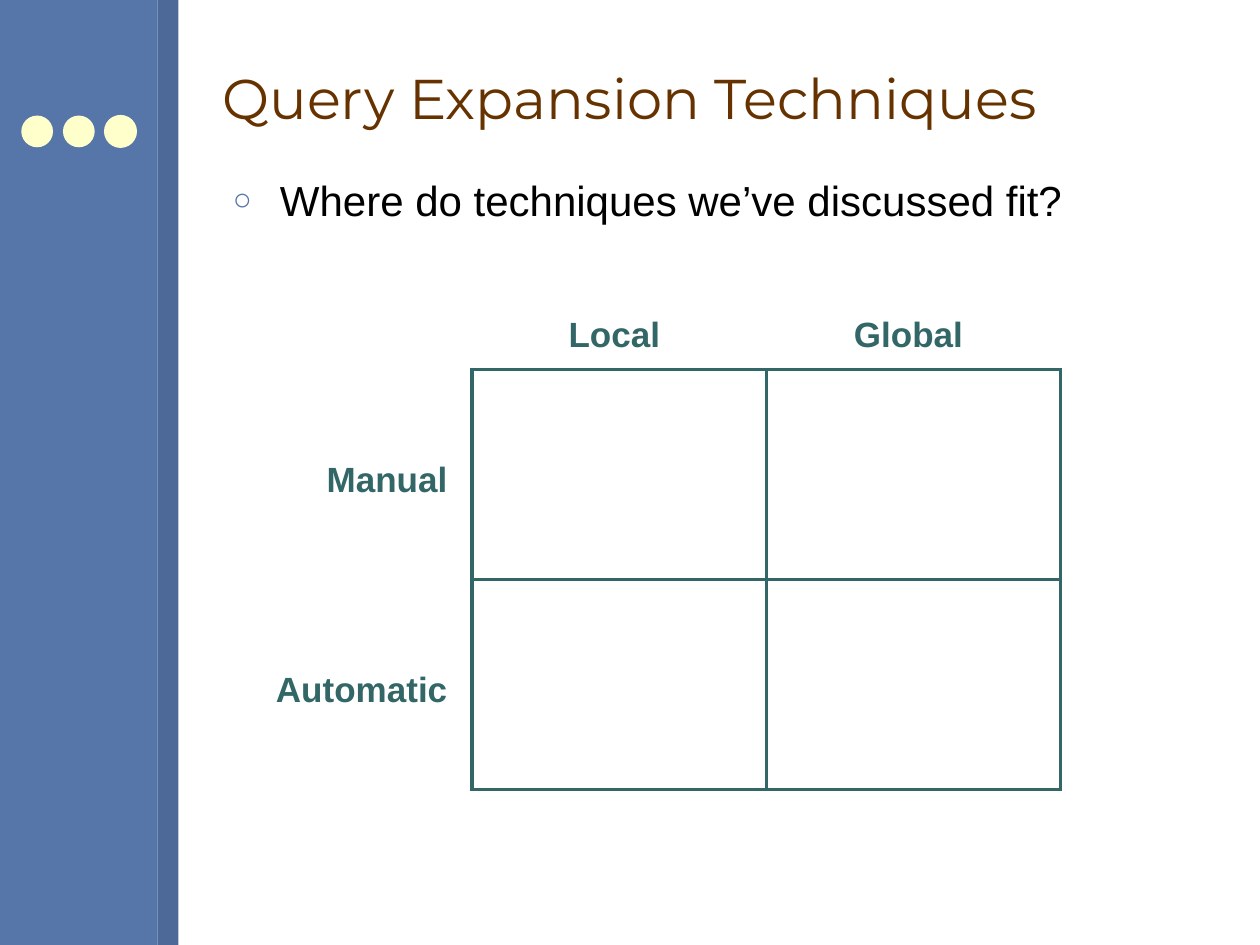
from dataclasses import dataclass

from lxml import etree
from pptx import Presentation
from pptx.dml.color import RGBColor
from pptx.enum.shapes import MSO_SHAPE
from pptx.enum.text import MSO_ANCHOR, MSO_AUTO_SIZE, PP_ALIGN
from pptx.oxml.ns import qn
from pptx.util import Cm, Pt

RECTANGLE = MSO_SHAPE.RECTANGLE
OVAL = MSO_SHAPE.OVAL
MIDDLE = MSO_ANCHOR.MIDDLE
TOP = MSO_ANCHOR.TOP
NO_AUTOFIT = MSO_AUTO_SIZE.NONE
GROW = MSO_AUTO_SIZE.SHAPE_TO_FIT_TEXT
LEFT = PP_ALIGN.LEFT
CENTER = PP_ALIGN.CENTER
RIGHT = PP_ALIGN.RIGHT


@dataclass(frozen=True)
class Theme:
    """Colours, fonts and type sizes of the slide."""
    sidebar: str = "5675A9"
    band: str = "4D6997"
    dot: str = "FFFFCC"
    title: str = "663300"
    body: str = "000000"
    grid: str = "336666"
    title_font: str = "Montserrat"
    body_font: str = "Arial"
    title_size: int = 32
    body_size: int = 24
    label_size: int = 20
    grid_line: float = 2
    dot_line: float = 0.75


@dataclass(frozen=True)
class Box:
    """A region in centimetres."""
    left: float
    top: float
    width: float
    height: float


THEME = Theme()


def place(shape, box):
    """Move and size a shape to a box."""
    shape.left, shape.top = Cm(box.left), Cm(box.top)
    shape.width, shape.height = Cm(box.width), Cm(box.height)


def add_run(paragraph, text, font_name, size, color, bold=False):
    """Append one formatted run."""
    run = paragraph.add_run()
    run.text = text
    run.font.name = font_name
    run.font.size = Pt(size)
    run.font.bold = bold
    run.font.color.rgb = RGBColor.from_string(color)


def add_figure(slide, preset, box, fill=None, line=None, line_width=0):
    """Add a flat preset shape with optional fill and mitred outline."""
    shape = slide.shapes.add_shape(
        preset, Cm(box.left), Cm(box.top), Cm(box.width), Cm(box.height))
    shape.shadow.inherit = False
    if fill:
        shape.fill.solid()
        shape.fill.fore_color.rgb = RGBColor.from_string(fill)
    else:
        shape.fill.background()
    if line:
        shape.line.color.rgb = RGBColor.from_string(line)
        shape.line.width = Pt(line_width)
        outline = shape._element.spPr.find(qn("a:ln"))
        etree.SubElement(outline, qn("a:miter"), lim="800000")
    else:
        shape.line.fill.background()


def add_label(slide, text, box, alignment):
    """Add a bold heading for a grid row or column."""
    label = slide.shapes.add_textbox(
        Cm(box.left), Cm(box.top), Cm(box.width), Cm(box.height))
    frame = label.text_frame
    frame.word_wrap = False
    frame.auto_size = GROW
    paragraph = frame.paragraphs[0]
    paragraph.alignment = alignment
    add_run(paragraph, text, THEME.body_font, THEME.label_size, THEME.grid, True)


def add_sidebar(slide, box):
    """Draw the left panel, its dark band and three dots."""
    band_width, dot_size, dot_step = 0.42, 0.64, 0.84
    panel_width = box.width - band_width
    add_figure(slide, RECTANGLE,
               Box(box.left, box.top, panel_width, box.height), THEME.sidebar)
    add_figure(slide, RECTANGLE,
               Box(box.left + panel_width, box.top, band_width, box.height), THEME.band)
    for index in range(3):
        dot = Box(box.left + 0.43 + index * dot_step, box.top + 2.33, dot_size, dot_size)
        outline = THEME.dot if index == 2 else None
        add_figure(slide, OVAL, dot, THEME.dot, outline, THEME.dot_line)


def fill_title(slide, box, text):
    """Place and format the title placeholder."""
    title = slide.shapes.title
    place(title, box)
    frame = title.text_frame
    frame.auto_size = NO_AUTOFIT
    frame.vertical_anchor = MIDDLE
    paragraph = frame.paragraphs[0]
    paragraph.alignment = LEFT
    add_run(paragraph, text, THEME.title_font, THEME.title_size, THEME.title)


def add_bullet(paragraph):
    """Give a paragraph a hanging ring bullet."""
    properties = paragraph._p.get_or_add_pPr()
    properties.set("marL", str(Cm(0.95)))
    properties.set("indent", str(Cm(-0.95)))
    color = etree.SubElement(properties, qn("a:buClr"))
    etree.SubElement(color, qn("a:srgbClr"), val=THEME.sidebar)
    etree.SubElement(properties, qn("a:buSzPct"), val="75000")
    etree.SubElement(properties, qn("a:buFont"), typeface=THEME.body_font)
    etree.SubElement(properties, qn("a:buChar"), char="○")


def fill_body(slide, box, items):
    """Place the body placeholder and write its bulleted list."""
    body = slide.placeholders[1]
    place(body, box)
    frame = body.text_frame
    frame.auto_size = NO_AUTOFIT
    frame.vertical_anchor = TOP
    for index, text in enumerate(items):
        paragraph = frame.add_paragraph() if index else frame.paragraphs[0]
        add_bullet(paragraph)
        paragraph.space_before = Pt(7.5 if index else 0)
        paragraph.space_after = Pt(7.5)
        add_run(paragraph, text, THEME.body_font, THEME.body_size, THEME.body)


def add_matrix(slide, box, columns, rows):
    """Draw a grid of empty cells with column and row headings."""
    cell_width = box.width / len(columns)
    cell_height = box.height / len(rows)
    label_height = 1.11
    for row in range(len(rows)):
        for column in range(len(columns)):
            cell = Box(box.left + column * cell_width, box.top + row * cell_height,
                       cell_width, cell_height)
            add_figure(slide, RECTANGLE, cell, line=THEME.grid, line_width=THEME.grid_line)
    for column, (text, width) in enumerate(columns):
        center = box.left + (column + 0.5) * cell_width - 0.1
        add_label(slide, text,
                  Box(center - width / 2, box.top - 1.28, width, label_height), CENTER)
    for row, (text, width) in enumerate(rows):
        right = box.left - 0.25
        top = box.top + row * cell_height + 1.65
        add_label(slide, text, Box(right - width, top, width, label_height), RIGHT)


def main():
    """Build and save the slide."""
    presentation = Presentation()
    presentation.slide_width, presentation.slide_height = Cm(25.4), Cm(19.05)
    slide = presentation.slides.add_slide(presentation.slide_layouts[1])
    add_sidebar(slide, Box(0, 0, 3.6, 19.05))
    fill_title(slide, Box(4.23, 0.53, 20.32, 2.87), "Query Expansion Techniques")
    fill_body(slide, Box(4.44, 3.39, 20.11, 14.82),
              ["Where do techniques we’ve discussed fit?"])
    add_matrix(slide, Box(9.52, 7.45, 11.86, 8.47),
               columns=[("Local", 2.45), ("Global", 2.8)],
               rows=[("Manual", 3), ("Automatic", 4)])
    presentation.save("out.pptx")


if __name__ == "__main__":
    main()
